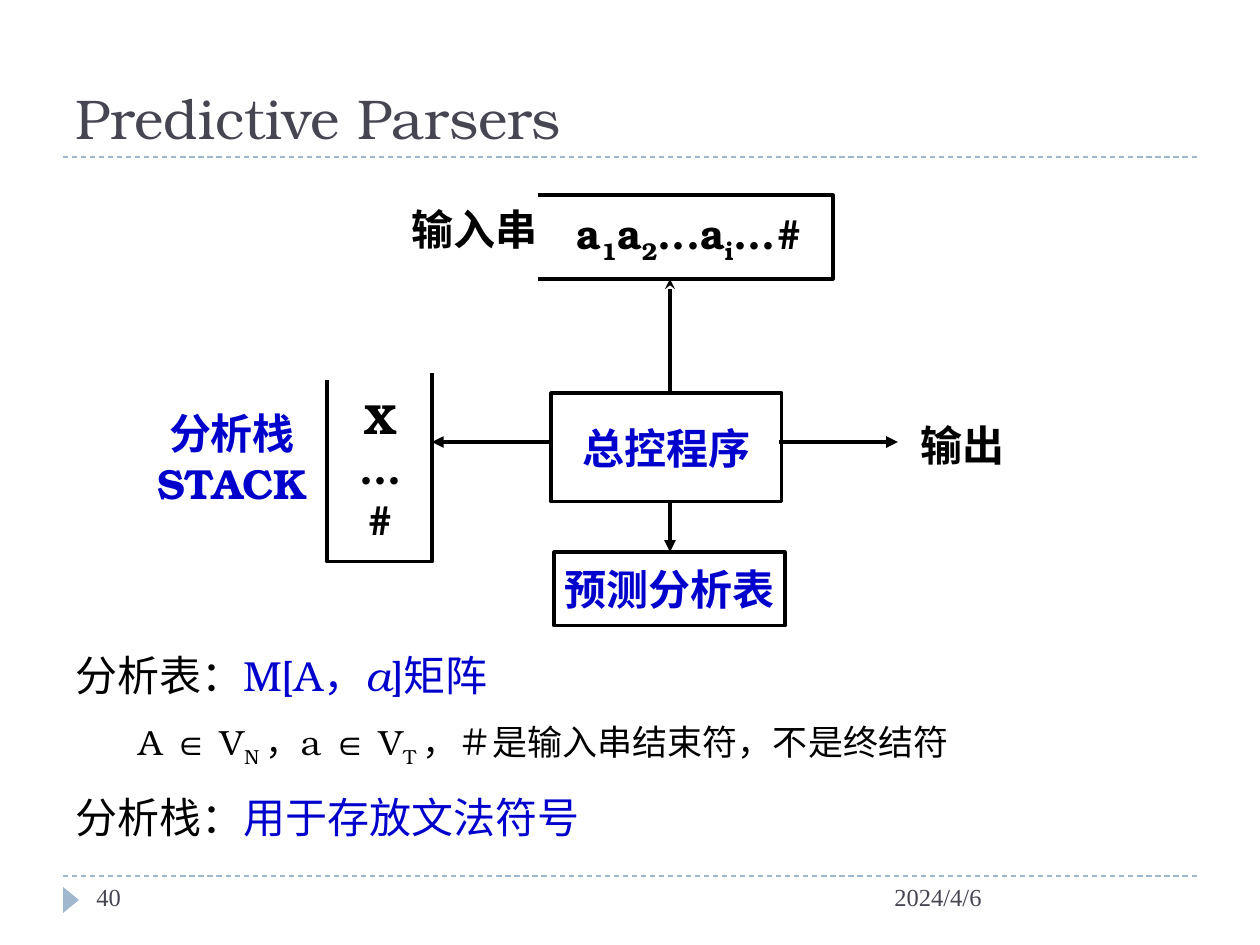
from dataclasses import dataclass

from pptx import Presentation
from pptx.dml.color import RGBColor
from pptx.enum.dml import MSO_LINE as Dash
from pptx.enum.shapes import MSO_CONNECTOR as Link, MSO_SHAPE as Kind
from pptx.enum.text import MSO_ANCHOR as Anchor, PP_ALIGN as Align
from pptx.oxml.ns import qn
from pptx.util import Pt
from lxml.etree import SubElement as sub

PX = 914400 / 126


@dataclass(frozen=True)
class Theme:
    face: str = "TeX Gyre Bonum"
    small_face: str = "Times New Roman"
    ink: str = "000000"
    blue: str = "0000CC"
    grey: str = "464653"
    rule: str = "9FB8CD"
    title: int = 32
    main: int = 24
    note: int = 20
    foot: int = 14
    thin: float = 1.75
    thick: float = 2.25


T = Theme()
LOW = {"low": True}
BLUE = {"color": T.blue}


def emu(*nums):
    return [round(n * PX) for n in nums]


def rgb(code):
    return RGBColor.from_string(code)


def write(frame, paras, size=T.main, color=T.ink, face=T.face, bold=False,
          align=Align.LEFT, anchor=Anchor.MIDDLE, wrap=False, lead=None):
    """Each paragraph is a list of runs: (text, what differs)."""
    frame.word_wrap, frame.vertical_anchor = wrap, anchor
    for i, runs in enumerate(paras):
        para = frame.paragraphs[0] if i == 0 else frame.add_paragraph()
        para.alignment = align
        if lead:
            para.line_spacing = lead
        for text, diff in runs:
            run = para.add_run()
            run.text = text
            font = run.font
            font.name, font.bold = diff.get("face", face), bold
            font.size = Pt(diff.get("size", size))
            font.italic = diff.get("italic", False)
            font.color.rgb = rgb(diff.get("color", color))
            if diff.get("low"):
                font._element.set("baseline", "-25000")


def label(slide, box, *lines, **fmt):
    """Text box; a plain string stands for a one-run line."""
    frame = slide.shapes.add_textbox(*emu(*box)).text_frame
    paras = [[(s, {})] if isinstance(s, str) else s for s in lines]
    write(frame, paras, **fmt)
    return frame


def mark(slide, box, text):
    label(slide, box, text, bold=True, align=Align.CENTER)


def line(slide, start, end, color=T.ink, width=T.thick, head=None, dash=None):
    link = slide.shapes.add_connector(Link.STRAIGHT, *emu(*start, *end))
    link.line.color.rgb, link.line.width = rgb(color), Pt(width)
    if dash:
        link.line.dash_style = dash
    if head:
        sub(link.line._get_or_add_ln(), qn("a:tailEnd"), type=head)
    sub(link._element.spPr, qn("a:effectLst"))


def edge(shape):
    shape.shadow.inherit = False
    shape.fill.background()
    shape.line.color.rgb, shape.line.width = rgb(T.ink), Pt(T.thin)


def block(slide, box, text):
    shape = slide.shapes.add_shape(Kind.RECTANGLE, *emu(*box))
    edge(shape)
    write(shape.text_frame, [[(text, BLUE)]], bold=True, align=Align.CENTER)


def trace(slide, *points):
    pen = slide.shapes.build_freeform(*points[0], scale=PX)
    pen.add_line_segments(points[1:], close=False)
    edge(pen.convert_to_shape())


def header(slide, x, y, w, h):
    line(slide, (x, y + h), (x + w, y + h), T.rule, 0.75, dash=Dash.DASH)
    label(slide, (x, y, w, h), "Predictive Parsers", size=T.title,
          color=T.grey, anchor=Anchor.BOTTOM, wrap=True)


def footer(slide, x, y, w, h):
    line(slide, (x, y), (x + w, y), T.rule, 0.75, dash=Dash.DASH)
    # Page marker
    tip = slide.shapes.add_shape(Kind.ISOSCELES_TRIANGLE,
                                 *emu(x - 5, y + 16, 26, 16))
    tip.rotation = 90
    tip.shadow.inherit = False
    tip.fill.solid()
    tip.fill.fore_color.rgb = rgb(T.rule)
    tip.line.fill.background()
    # Page number and date
    for dx, width, text in ((21, 273, "40"), (819, 315, "2024/4/6")):
        label(slide, (x + dx, y, width, h), text, size=T.foot, color=T.grey,
              face=T.small_face, anchor=Anchor.TOP, wrap=True)


def diagram(slide, x, y, w, h):
    mid, row = x + 530, y + 247  # axes of the arrows
    # Control program and parsing table
    block(slide, (x + 411, y + 198, 231, 109), "总控程序")
    block(slide, (x + 414, y + 357, 231, 74), "预测分析表")
    # Stack, open at the top
    left, right, base = x + 187, x + 292, y + 367
    trace(slide, (left, y + 185), (left, base), (right, base),
          (right, y + 178))
    label(slide, (x + 204, y + 189, 73, 168), "X", "…", "#",
          bold=True, align=Align.CENTER)
    label(slide, (x, y + 178, 184, 169), "分析栈", "STACK", color=T.blue,
          bold=True, align=Align.CENTER)
    # Input tape, open at the left
    tape, end, low = x + 398, x + 693, y + 84
    trace(slide, (tape, y), (end, y), (end, low), (tape, low))
    mark(slide, (x + 223, y + 2, 223, 63), "输入串")
    mark(slide, (x + 419, y + 10, 262, 63),
         [("a", {}), ("1", LOW), ("a", {}), ("2", LOW), ("...a", {}),
          ("i", LOW), ("…#", {})])
    # Arrows and output
    line(slide, (mid, y + 198), (mid, low), width=T.thin, head="stealth")
    line(slide, (mid, y + 307), (mid, y + 357), head="triangle")
    line(slide, (x + 411, row), (right, row), head="triangle")
    line(slide, (x + 639, row), (x + 758, row), head="triangle")
    mark(slide, (x + 758, y + 218, 129, 63), "输出")


def notes(slide, x, y, w, h):
    frame = label(
        slide, (x, y, w, h),
        [("分析表：", {}), ("M[A，", BLUE), ("a", BLUE | {"italic": True}),
         ("]矩阵", BLUE)],
        [(s, d | {"size": T.note}) for s, d in (
            ("A ∈ V", {}), ("N ", LOW), ("，a ∈ V", {}), ("T ", LOW),
            ("，＃是输入串结束符，不是终结符", {}))],
        [("分析栈：", {}), ("用于存放文法符号", BLUE)],
        anchor=Anchor.TOP, wrap=True, lead=1.25)
    for para, gap in zip(frame.paragraphs, (6, 5, 6)):
        para.space_before = Pt(gap)
    frame.paragraphs[1]._p.get_or_add_pPr().set("marL", str(emu(63)[0]))


def main():
    deck = Presentation()
    deck.slide_width, deck.slide_height = emu(1260, 945)
    slide = deck.slides.add_slide(deck.slide_layouts[6])
    header(slide, 63, 21, 1134, 136)
    notes(slide, 63, 631, 1134, 217)
    diagram(slide, 140, 195, 887, 431)
    footer(slide, 63, 876, 1134, 50)
    deck.save("out.pptx")


if __name__ == "__main__":
    main()
